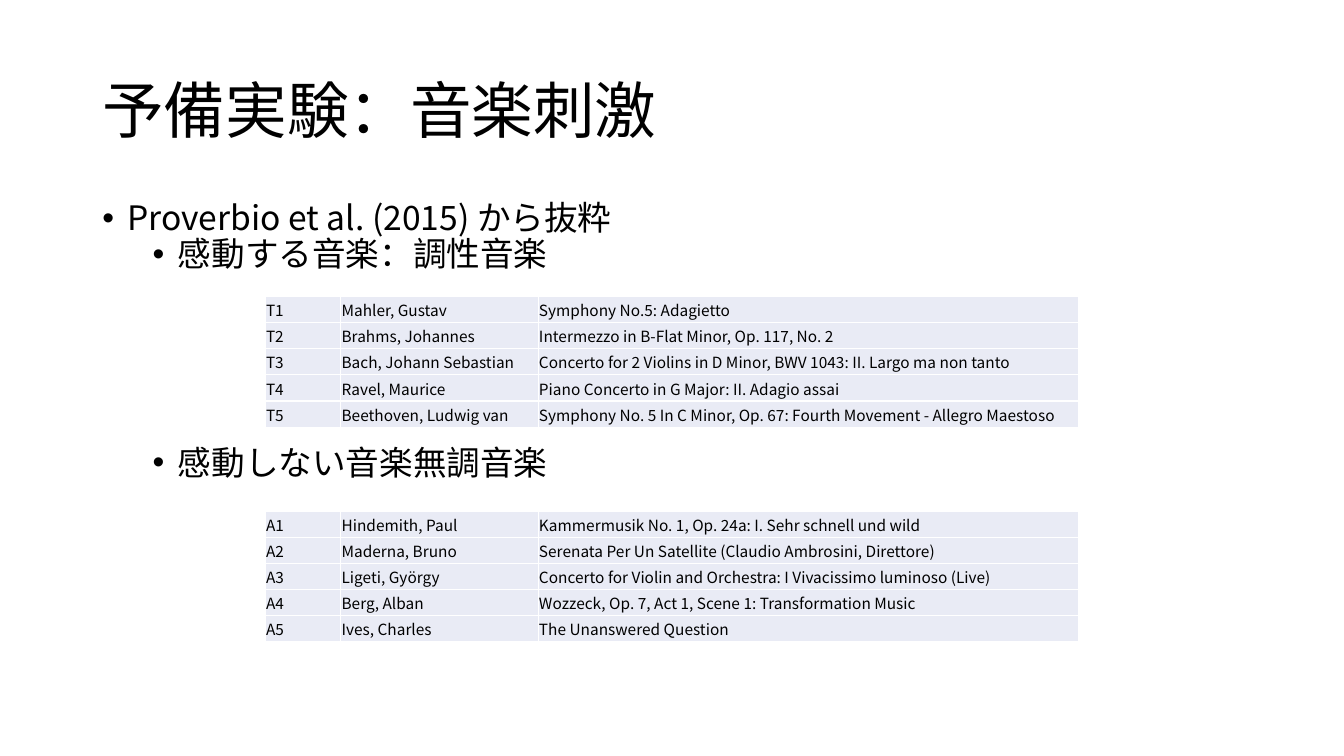
"""Build the slide listing the musical stimuli of the preliminary experiment."""
from dataclasses import dataclass

from lxml import etree
from pptx import Presentation
from pptx.dml.color import RGBColor
from pptx.enum.text import MSO_ANCHOR
from pptx.oxml.ns import qn
from pptx.util import Pt

MIDDLE = MSO_ANCHOR.MIDDLE
TOP = MSO_ANCHOR.TOP


@dataclass(frozen=True)
class Theme:
    font: str = "Noto Sans CJK JP"
    text: RGBColor = RGBColor(0x00, 0x00, 0x00)
    cell: RGBColor = RGBColor(0xE9, 0xEB, 0xF5)
    border: str = "FFFFFF"
    title_size: int = 44
    body_size: int = 24
    table_size: int = 11


theme = Theme()


def add_text(paragraph, text, size):
    run = paragraph.add_run()
    run.text = text
    for name, value in {"name": theme.font, "size": Pt(size)}.items():
        setattr(run.font, name, value)
    run.font.color.rgb = theme.text
    etree.SubElement(run.font._element, qn("a:ea"), typeface=theme.font)


def add_frame(top, height, frame_format):
    shape = slide.shapes.add_textbox(Pt(66), Pt(top), Pt(828), Pt(height))
    for name, value in frame_format.items():
        setattr(shape.text_frame, name, value)
    return shape.text_frame


presentation = Presentation()
presentation.slide_width = Pt(960)
presentation.slide_height = Pt(540)
slide = presentation.slides.add_slide(presentation.slide_layouts[6])

title_frame = add_frame(28.8, 104.4, {"word_wrap": True, "vertical_anchor": MIDDLE})
title_frame.paragraphs[0].line_spacing = 0.9
add_text(title_frame.paragraphs[0], "予備実験：音楽刺激", theme.title_size)

body_frame = add_frame(
    144, 342.7, {"word_wrap": True, "vertical_anchor": TOP, "margin_top": Pt(0)}
)
bullets = [
    ("Proverbio et al. (2015) から抜粋", 0, 18, 0),
    ("感動する音楽：調性音楽", 1, 54, 0),
    ("感動しない音楽無調音楽", 1, 54, 123),
]
for index, (text, level, indent, space_before) in enumerate(bullets):
    paragraph = body_frame.add_paragraph() if index else body_frame.paragraphs[0]
    paragraph_format = {
        "level": level,
        "line_spacing": 0.9,
        "space_before": Pt(space_before),
    }
    for name, value in paragraph_format.items():
        setattr(paragraph, name, value)
    properties = paragraph._p.get_or_add_pPr()
    properties.set("marL", str(Pt(indent)))
    properties.set("indent", str(-Pt(18)))
    etree.SubElement(properties, qn("a:buFont"), typeface="Arial")
    etree.SubElement(properties, qn("a:buChar"), char="•")
    add_text(paragraph, text, theme.body_size)

tonal_pieces = [
    ("Mahler, Gustav", "Symphony No.5: Adagietto"),
    ("Brahms, Johannes", "Intermezzo in B-Flat Minor, Op. 117, No. 2"),
    (
        "Bach, Johann Sebastian",
        "Concerto for 2 Violins in D Minor, BWV 1043: II. Largo ma non tanto",
    ),
    ("Ravel, Maurice", "Piano Concerto in G Major: II. Adagio assai"),
    (
        "Beethoven, Ludwig van",
        "Symphony No. 5 In C Minor, Op. 67: Fourth Movement - Allegro Maestoso",
    ),
]
atonal_pieces = [
    ("Hindemith, Paul", "Kammermusik No. 1, Op. 24a: I. Sehr schnell und wild"),
    ("Maderna, Bruno", "Serenata Per Un Satellite (Claudio Ambrosini, Direttore)"),
    (
        "Ligeti, György",
        "Concerto for Violin and Orchestra: I Vivacissimo luminoso (Live)",
    ),
    ("Berg, Alban", "Wozzeck, Op. 7, Act 1, Scene 1: Transformation Music"),
    ("Ives, Charles", "The Unanswered Question"),
]
column_widths = [54, 141, 386]
row_height = 18.7
cell_format = {
    "vertical_anchor": MIDDLE,
    "margin_left": Pt(0.6),
    "margin_right": Pt(0.6),
    "margin_top": Pt(0.6),
    "margin_bottom": Pt(0),
}

for prefix, top, pieces in [("T", 211.7, tonal_pieces), ("A", 365, atonal_pieces)]:
    table = slide.shapes.add_table(
        len(pieces),
        len(column_widths),
        Pt(189.4),
        Pt(top),
        Pt(sum(column_widths)),
        Pt(row_height * len(pieces)),
    ).table
    table.first_row = False
    table.horz_banding = False
    for column, width in zip(table.columns, column_widths):
        column.width = Pt(width)
    for number, (row, piece) in enumerate(zip(table.rows, pieces), start=1):
        row.height = Pt(row_height)
        for cell, text in zip(row.cells, (f"{prefix}{number}", *piece)):
            for name, value in cell_format.items():
                setattr(cell, name, value)
            properties = cell._tc.get_or_add_tcPr()
            for side in ("lnL", "lnR", "lnT", "lnB"):
                line = etree.SubElement(properties, qn(f"a:{side}"), w=str(Pt(1)))
                line_fill = etree.SubElement(line, qn("a:solidFill"))
                etree.SubElement(line_fill, qn("a:srgbClr"), val=theme.border)
            cell.fill.solid()
            cell.fill.fore_color.rgb = theme.cell
            add_text(cell.text_frame.paragraphs[0], text, theme.table_size)

presentation.save("out.pptx")
